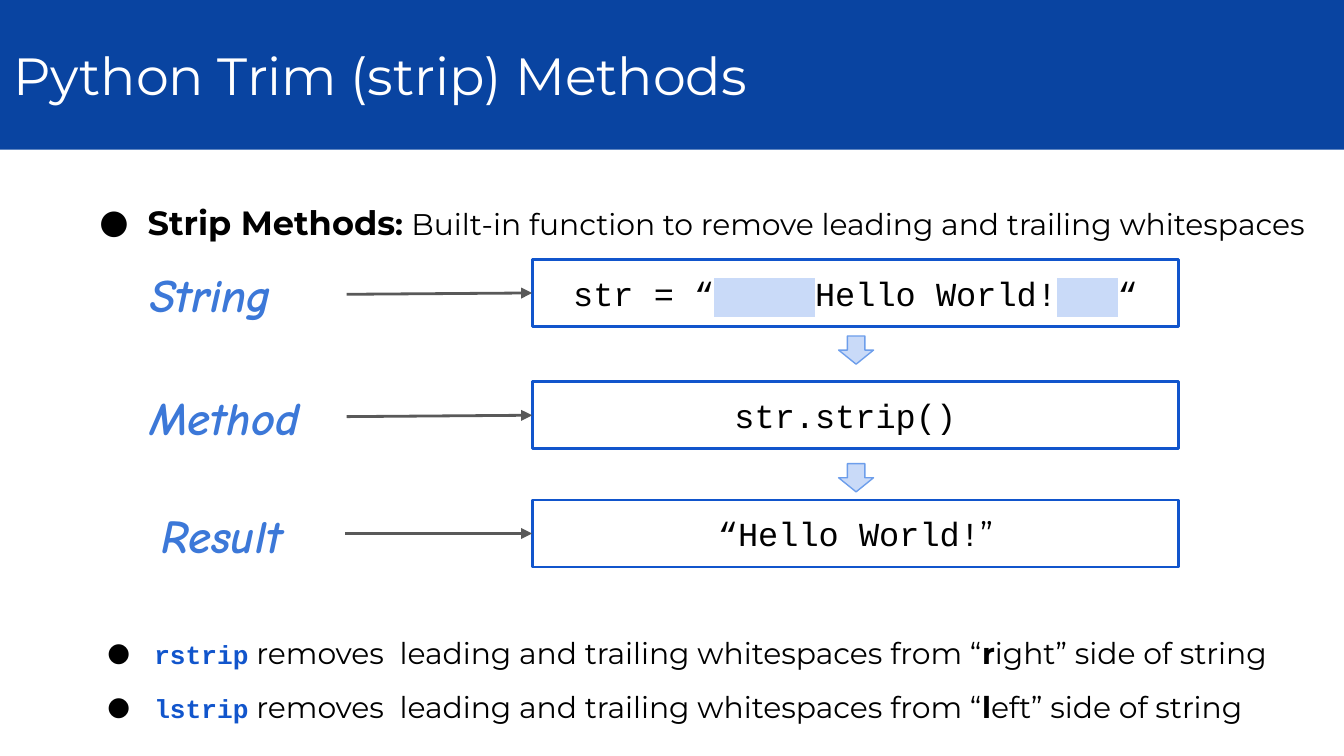
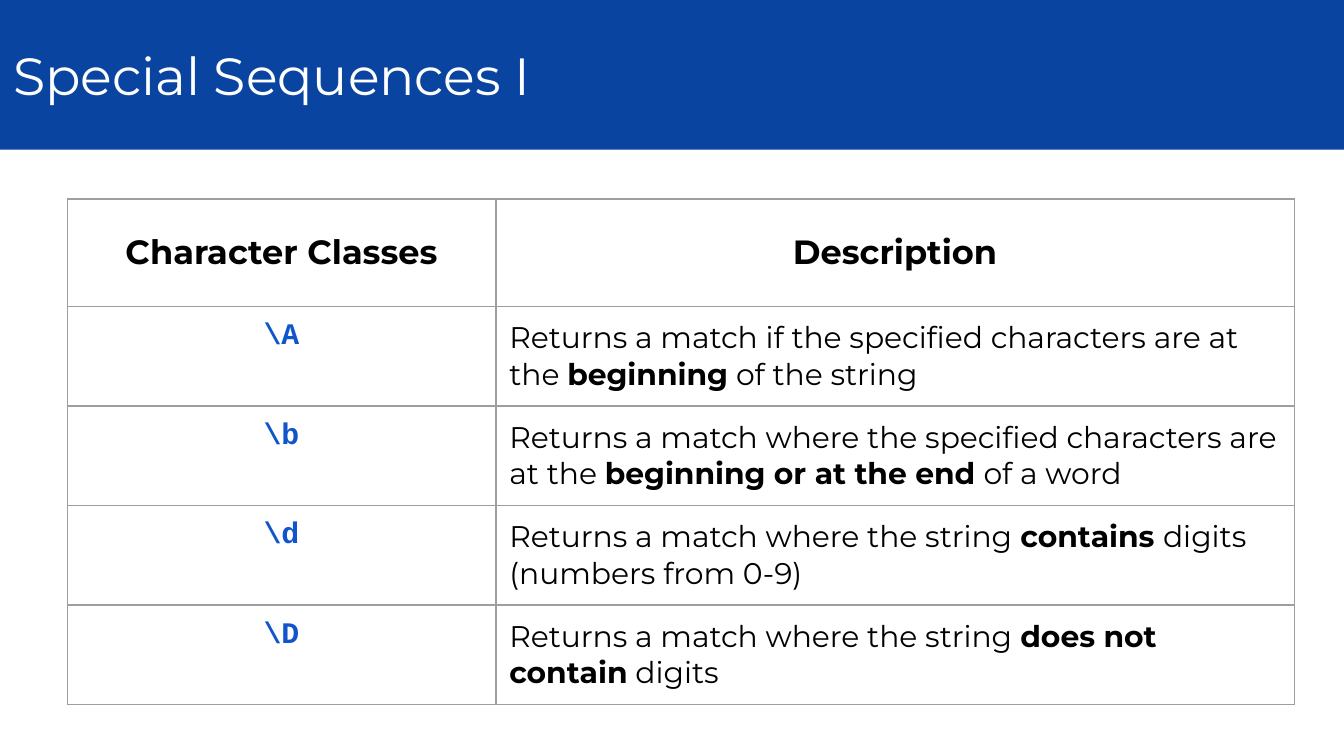
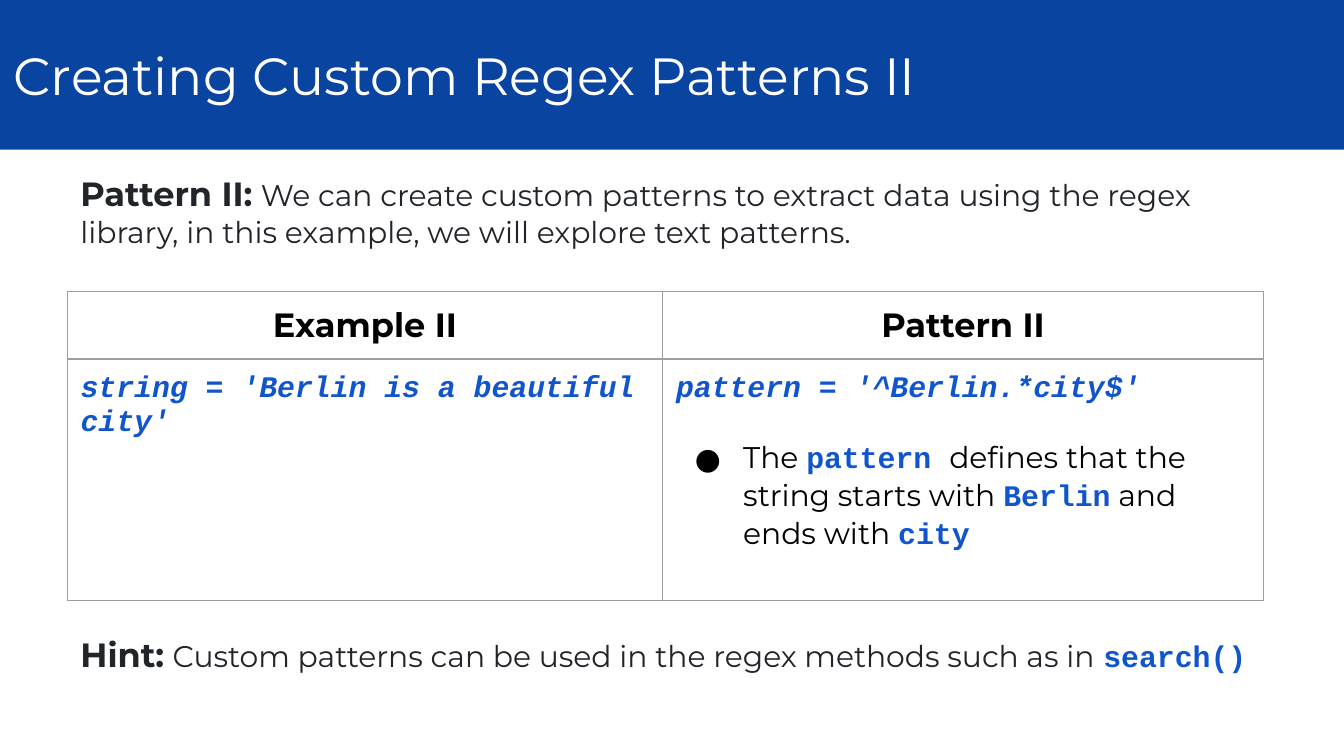
import pptx
import pptx.dml.color
import pptx.enum.shapes
import pptx.enum.text
import pptx.oxml
import pptx.oxml.ns
import pptx.util

RGB = pptx.dml.color.RGBColor
Pt = pptx.util.Pt
Inches = pptx.util.Inches
qn = pptx.oxml.ns.qn
SHAPE = pptx.enum.shapes.MSO_SHAPE
ALIGN = pptx.enum.text.PP_ALIGN
ANCHOR = pptx.enum.text.MSO_ANCHOR
FIT = pptx.enum.text.MSO_AUTO_SIZE

WIDTH, HEIGHT = Inches(10), Inches(5.625)
COL, ROW = WIDTH / 100, HEIGHT / 56.25
MARGIN = 5

BAND = RGB(0x09, 0x44, 0xA1)
CODE_BLUE = RGB(0x11, 0x55, 0xCC)
LABEL_BLUE = RGB(0x3C, 0x78, 0xD8)
PALE_BLUE = RGB(0xC9, 0xDA, 0xF8)
ARROW_BLUE = RGB(0x6D, 0x9E, 0xEB)
WHITE = RGB(0xFF, 0xFF, 0xFF)
BLACK = RGB(0, 0, 0)
INK = RGB(0x21, 0x25, 0x29)
GREY = RGB(0x59, 0x59, 0x59)
GRID = RGB(0x9E, 0x9E, 0x9E)

SANS, MONO, COMIC = "Montserrat", "Courier New", "Comic Neue"
BOLD = dict(bold=True)
HEAD = dict(bold=True, size=18)
CODE = dict(font=MONO, color=CODE_BLUE, bold=True)
CODE_ITALIC = dict(CODE, italic=True)
SMALL_CODE = dict(CODE, size=14)
SPACES = dict(highlight=PALE_BLUE)


def place(col, row, cols, rows):
    return round(col * COL), round(row * ROW), round(cols * COL), round(rows * ROW)


def add_xml(parent, tag, inner="", **attrs):
    """Append a DrawingML element to parent."""
    listed = "".join(f' {k}="{v}"' for k, v in attrs.items())
    xml = f'<a:{tag} {pptx.oxml.ns.nsdecls("a")}{listed}>{inner}</a:{tag}>'
    parent.append(pptx.oxml.parse_xml(xml))


def rgb_xml(color):
    return f'<a:srgbClr val="{color}"/>'


def add_run(p, text, font=SANS, size=16, color=BLACK, bold=False, italic=False, highlight=None):
    r = p.add_run()
    r.text = text
    f = r.font
    f.size, f.bold, f.italic = Pt(size), bold, italic
    f.color.rgb = color
    if highlight is not None:
        add_xml(r._r.get_or_add_rPr(), "highlight", rgb_xml(highlight))
    f.name = font


def add_bullet(p, indent):
    pPr = p._p.get_or_add_pPr()
    pPr.set("marL", str(Inches(0.5)))
    pPr.set("indent", str(-Inches(indent)))
    add_xml(pPr, "buClr", rgb_xml(BLACK))
    add_xml(pPr, "buFont", typeface=SANS)
    add_xml(pPr, "buChar", char="●")


def write(tf, *paragraphs, align=ALIGN.LEFT, indent=None, spacing=None, **style):
    """Fill tf; each paragraph is a list of strings or (string, style) pairs."""
    for i, runs in enumerate(paragraphs):
        p = tf.add_paragraph() if i else tf.paragraphs[0]
        p.alignment = align
        if spacing:
            p.line_spacing = spacing
        if indent:
            add_bullet(p, indent)
        for item in runs:
            text, own = (item, {}) if isinstance(item, str) else item
            add_run(p, text, **{**style, **own})


def set_frame(tf, anchor=ANCHOR.TOP, fit=FIT.SHAPE_TO_FIT_TEXT):
    tf.word_wrap = True
    tf.auto_size = fit
    tf.vertical_anchor = anchor
    tf.margin_left = tf.margin_right = tf.margin_top = tf.margin_bottom = Inches(0.1)


def add_slide(prs, title):
    s = prs.slides.add_slide(prs.slide_layouts[5])
    sp = s.shapes.title
    sp.left, sp.top, sp.width, sp.height = place(0, 0, 100, 11.14)
    sp.fill.solid()
    sp.fill.fore_color.rgb = BAND
    set_frame(sp.text_frame, ANCHOR.MIDDLE, FIT.NONE)
    write(sp.text_frame, [title], size=28, color=WHITE)
    return s


def add_text(s, area, *paragraphs, **fmt):
    sp = s.shapes.add_textbox(*place(*area))
    set_frame(sp.text_frame)
    write(sp.text_frame, *paragraphs, **fmt)
    return sp


def add_block(s, kind, area, line, weight, fill=None):
    sp = s.shapes.add_shape(kind, *place(*area))
    sp.shadow.inherit = False
    if fill is None:
        sp.fill.background()
    else:
        sp.fill.solid()
        sp.fill.fore_color.rgb = fill
    sp.line.color.rgb = line
    sp.line.width = Pt(weight)
    return sp


def add_code_box(s, row, runs):
    sp = add_block(s, SHAPE.RECTANGLE, (39.6, row, 48.1, 5), CODE_BLUE, 1.5)
    set_frame(sp.text_frame)
    write(sp.text_frame, runs, align=ALIGN.CENTER, font=MONO, size=18)
    return sp


def add_arrow(s, label, box, joined):
    """Draw an arrow to the box, starting on the label's side if joined."""
    y = box.top + box.height // 2
    c = s.shapes.add_connector(pptx.enum.shapes.MSO_CONNECTOR.STRAIGHT,
                               round(25.7 * COL), y, box.left, y)
    if joined:
        c.begin_connect(label, 3)
    c.end_connect(box, 1)
    c.line.color.rgb = GREY
    c.line.width = Pt(1.5)
    spPr = c._element.spPr
    add_xml(spPr.find(qn("a:ln")), "tailEnd", type="triangle")
    add_xml(spPr, "effectLst")


def set_borders(cell):
    tcPr = cell._tc.get_or_add_tcPr()
    for i, side in enumerate(("lnL", "lnR", "lnT", "lnB")):
        add_xml(tcPr, side, f"<a:solidFill>{rgb_xml(GRID)}</a:solidFill>", w=Pt(0.75))
        tcPr.insert(i, tcPr[-1])


def add_table(s, top, cols, rows, headings, head_anchor=ANCHOR.TOP):
    """Add a plain ruled table with its heading row written."""
    area = place(MARGIN, top, sum(cols), sum(rows))
    table = s.shapes.add_table(len(rows), len(cols), *area).table
    table.first_row = table.horz_banding = False
    for column, width in zip(table.columns, cols):
        column.width = round(width * COL)
    for row, height in zip(table.rows, rows):
        row.height = round(height * ROW)
    for cell in table.iter_cells():
        cell.fill.background()
        cell.margin_left = cell.margin_right = Inches(0.1)
        cell.margin_top = cell.margin_bottom = Inches(0.1)
        set_borders(cell)
    for i, heading in enumerate(headings):
        cell = table.cell(0, i)
        cell.vertical_anchor = head_anchor
        write(cell.text_frame, [heading], align=ALIGN.CENTER, **HEAD)
    return table


def build_strip(prs):
    s = add_slide(prs, "Python Trim (strip) Methods")
    add_text(s, (MARGIN, 12.5, 94.2, 5),
             [("Strip Methods", HEAD), (": ", BOLD),
              "Built-in function to remove leading and trailing whitespaces"],
             indent=0.36, spacing=1.5)
    steps = [
        ("String", 10.2, 15.6, 19.3,
         ["str = “", ("     ", SPACES), "Hello World!", ("   ", SPACES), "“"]),
        ("Method", 10.2, 15.6, 28.4, ["str.strip() "]),
        ("Result", 11, 13.9, 37.2, ["“Hello World!", ("”", dict(font=SANS))]),
    ]
    for name, col, cols, row, code in steps:
        label = add_text(s, (col, row - 0.5, cols, 6.2), [name],
                         font=COMIC, size=25, color=LABEL_BLUE, bold=True, italic=True)
        add_arrow(s, label, add_code_box(s, row, code), joined=name != "Result")
    for row in (25, 34.5):
        add_block(s, SHAPE.DOWN_ARROW, (62.4, row, 2.6, 2.1), ARROW_BLUE, 0.75, PALE_BLUE)
    sides = [("rstrip", "r", "ight"), ("lstrip", "l", "eft")]
    add_text(s, (5.5, 44.9, 91.4, 8.8),
             *[[(method, SMALL_CODE), " removes  leading and trailing whitespaces from “",
                (initial, BOLD), f"{rest}” side of string"]
               for method, initial, rest in sides],
             indent=0.35, spacing=1.5)


def build_sequences(prs):
    s = add_slide(prs, "Special Sequences I")
    where = "Returns a match where the "
    entries = [
        ("\\A", "Returns a match if the specified characters are at the ",
         "beginning", " of the string"),
        ("\\b", where + "specified characters are at the ",
         "beginning or at the end", " of a word"),
        ("\\d", where + "string ", "contains ", "digits (numbers from 0-9)"),
        ("\\D", where + "string ", "does not contain", " digits"),
    ]
    table = add_table(s, 14.8, [31.9, 59.4], [8] + [7.4] * len(entries),
                      ["Character Classes", "Description"], ANCHOR.MIDDLE)
    for i, (sequence, before, key, after) in enumerate(entries, 1):
        write(table.cell(i, 0).text_frame, [sequence], align=ALIGN.CENTER, **CODE)
        write(table.cell(i, 1).text_frame, [before, (key, BOLD), after])


def build_patterns(prs):
    s = add_slide(prs, "Creating Custom Regex Patterns II")
    note = dict(color=INK, highlight=WHITE)
    add_text(s, (MARGIN, 11.9, 91.3, 7.7),
             [("Pattern II:", HEAD), (" ", BOLD),
              "We can create custom patterns to extract data using the regex library, "
              "in this example, we will explore text patterns."], **note)
    table = add_table(s, 21.7, [44.3, 44.7], [5, 18], ["Example II", "Pattern II"])
    write(table.cell(1, 0).text_frame, ["string = 'Berlin is a beautiful city'"], **CODE_ITALIC)
    tf = table.cell(1, 1).text_frame
    write(tf, [("pattern = '^Berlin.*city$'", CODE_ITALIC)],
          ["The ", ("pattern ", CODE), "defines that the string starts with ",
           ("Berlin", CODE), " and ends with ", ("city", CODE)])
    tf.paragraphs[0].space_after = Pt(18)
    add_bullet(tf.paragraphs[1], 0.36)
    add_text(s, (MARGIN, 46.2, 91.3, 5),
             [("Hint:", HEAD), (" ", BOLD),
              "Custom patterns can be used in the regex methods such as in ",
              ("search()", dict(CODE, highlight=None))], **note)


def main():
    prs = pptx.Presentation()
    prs.slide_width, prs.slide_height = WIDTH, HEIGHT
    build_strip(prs)
    build_sequences(prs)
    build_patterns(prs)
    prs.save("out.pptx")


if __name__ == "__main__":
    main()
